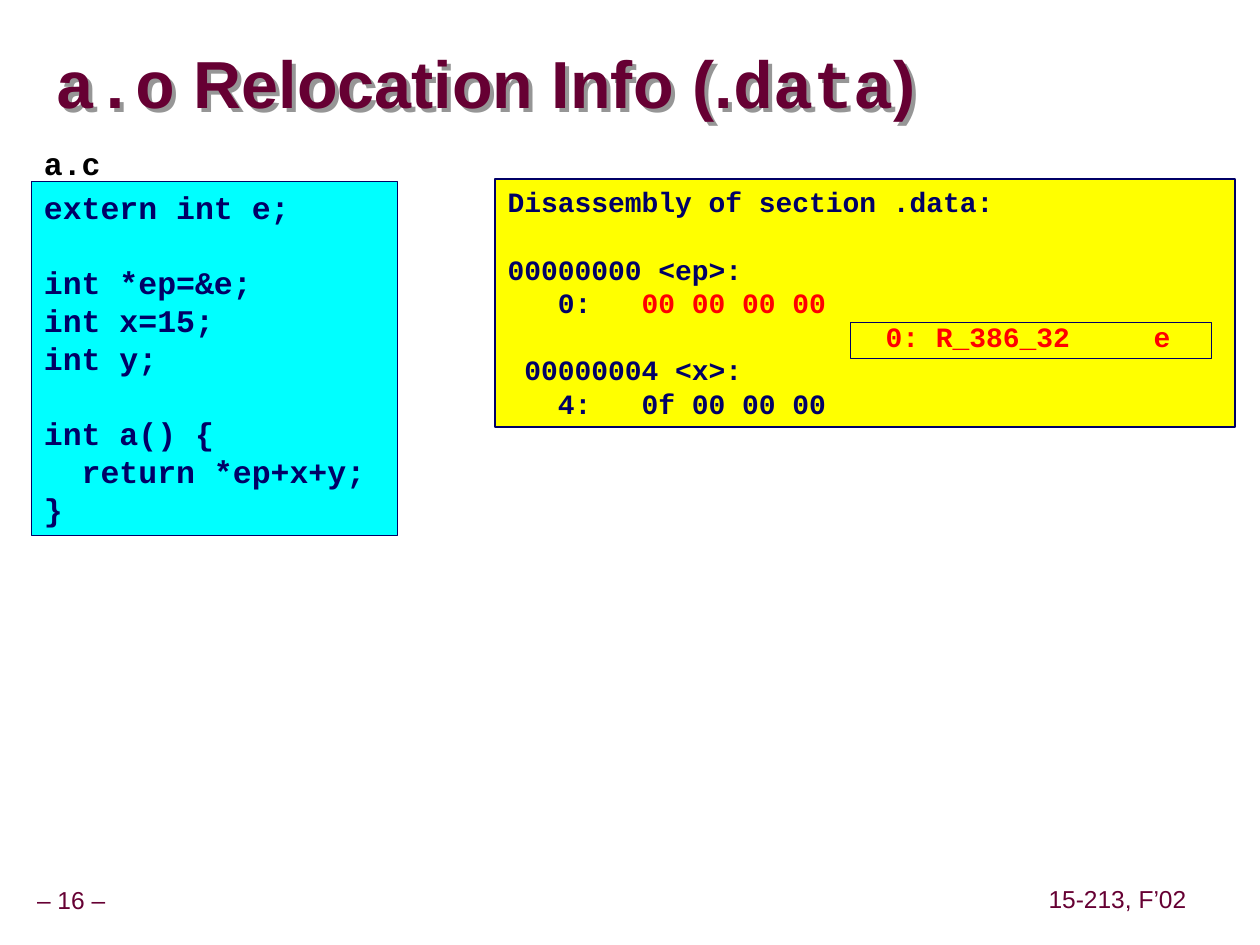
from lxml import etree
from pptx import Presentation
from pptx.dml.color import RGBColor
from pptx.enum.shapes import MSO_SHAPE
from pptx.enum.text import MSO_ANCHOR, PP_ALIGN
from pptx.oxml.ns import qn
from pptx.util import Pt

RECTANGLE = MSO_SHAPE.RECTANGLE
TOP, MIDDLE = MSO_ANCHOR.TOP, MSO_ANCHOR.MIDDLE
LEFT, CENTER = PP_ALIGN.LEFT, PP_ALIGN.CENTER
SANS, MONO = "Arial", "Courier New"
COLORS = {
    "maroon": "660033", "navy": "000066", "red": "FF0000", "black": "000000",
    "white": "FFFFFF", "cyan": "00FFFF", "yellow": "FFFF00", "gray": "969696",
}

deck = Presentation()
deck.slide_width, deck.slide_height = Pt(720), Pt(540)
page = deck.slides.add_slide(deck.slide_layouts[6])


def add_panel(left, top, width, height, fill, line, weight):
    panel = page.shapes.add_shape(RECTANGLE, Pt(left), Pt(top), Pt(width), Pt(height))
    panel.shadow.inherit = False
    if fill:
        panel.fill.solid()
        panel.fill.fore_color.rgb = RGBColor.from_string(COLORS[fill])
    else:
        panel.fill.background()
    panel.line.color.rgb = RGBColor.from_string(COLORS[line])
    panel.line.width = Pt(weight)
    return panel


def write_lines(box, lines, size, bold=True, align=LEFT, anchor=TOP,
                margins=(7.2, 3.6), wrap=True, spacing=1.0):
    frame = box.text_frame
    frame.word_wrap = wrap
    frame.vertical_anchor = anchor
    frame.margin_left = frame.margin_right = Pt(margins[0])
    frame.margin_top = frame.margin_bottom = Pt(margins[1])
    for index, line in enumerate(lines):
        para = frame.add_paragraph() if index else frame.paragraphs[0]
        para.alignment = align
        para.line_spacing = spacing
        tabs = etree.SubElement(para._p.get_or_add_pPr(), qn("a:tabLst"))
        for inch in range(8):
            etree.SubElement(tabs, qn("a:tab"), pos=str(Pt(72 * inch)), algn="l")
        for text, color, font in line:
            span = para.add_run()
            span.text = text
            span.font.name = font
            span.font.size = Pt(size)
            span.font.bold = bold
            span.font.color.rgb = RGBColor.from_string(COLORS[color])


for text, left, top, width in [("– 16 –", -6.5, 504, 94.3),
                               ("15-213, F’02", 595.4, 503.3, 86.4)]:
    footer = page.shapes.add_textbox(Pt(left), Pt(top), Pt(width), Pt(22.3))
    write_lines(footer, [[(text, "maroon", SANS)]], 14, bold=False, align=CENTER,
                anchor=MIDDLE, margins=(3.6, 3.6), wrap=False, spacing=0.9)

title = page.shapes.add_textbox(Pt(31.7), Pt(19.4), Pt(686.2), Pt(61.2))
title_parts = [("a.o", MONO), (" Relocation Info (.", SANS), ("data", MONO), (")", SANS)]
write_lines(title, [[(text, "maroon", font) for text, font in title_parts]], 38,
            anchor=MIDDLE, margins=(0, 0), spacing=0.87)
effects = etree.SubElement(title._element.spPr, qn("a:effectLst"))
shadow = etree.SubElement(effects, qn("a:outerShdw"), dist=str(Pt(3.2)),
                          dir="2700000", algn="ctr", rotWithShape="0")
etree.SubElement(shadow, qn("a:srgbClr"), val=COLORS["gray"])

file_label = add_panel(18, 78.5, 46.8, 28.8, None, "white", 0.25)
write_lines(file_label, [[("a.c", "black", MONO)]], 18, wrap=False)

source_code = """extern int e;
 
int *ep=&e;
int x=15;
int y;
 
int a() {
  return *ep+x+y;
}"""
source_panel = add_panel(18, 103.7, 208.8, 202, "cyan", "navy", 0.25)
write_lines(source_panel, [[(line, "navy", MONO)] for line in source_code.split("\n")], 18)

listing = [
    [("Disassembly of section .data:", "navy")],
    [(" ", "navy")],
    [("00000000 <ep>:", "navy")],
    [("   0:   ", "navy"), ("00 00 00 00", "red")],
    [("\t\t\t", "navy"), ("0: R_386_32     e", "red")],
    [(" 00000004 <x>:", "navy")],
    [("   4:   0f 00 00 00", "navy")],
]
listing_panel = add_panel(283, 102.2, 422.6, 141.8, "yellow", "navy", 1)
write_lines(listing_panel,
            [[(text, color, MONO) for text, color in line] for line in listing], 16)

add_panel(486, 184.3, 206, 20.2, None, "navy", 0.25)

deck.save("out.pptx")
